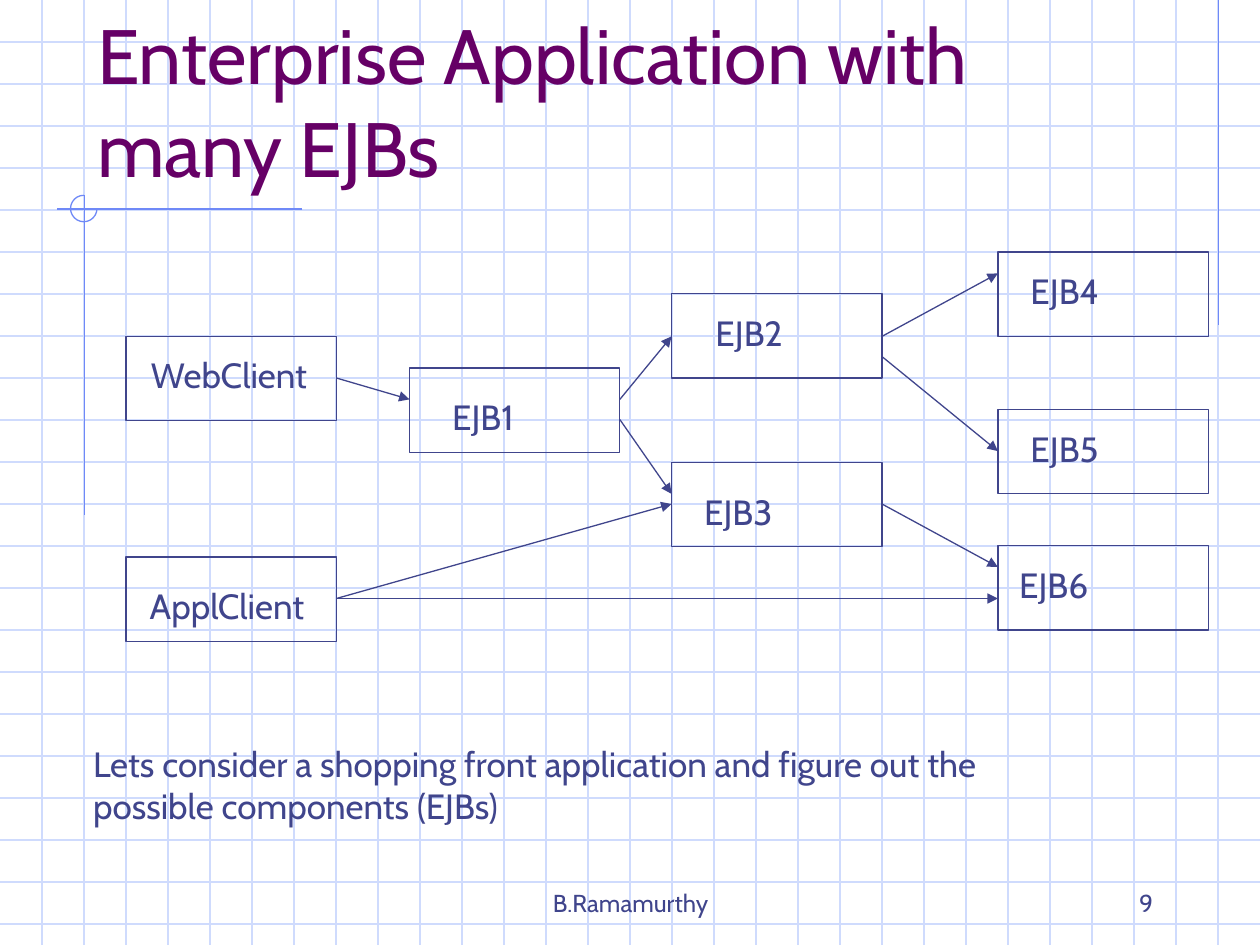
"""Build the slide on an enterprise application with many EJBs."""
import pptx
import pptx.dml.color
import pptx.enum.shapes
import pptx.enum.text
import pptx.oxml
import pptx.oxml.ns
import pptx.util
from pptx.util import Inches

FONT = "Cabin"
INK, PLUM, GRID, ACCENT = "40458C", "660066", "CFDBFD", "6F89F7"
WIDTH, HEIGHT, GRID_STEP = 10, 7.5, 1 / 3
NODE_WIDTH, NODE_HEIGHT = 1.67, 0.67
ALIGN = pptx.enum.text.PP_ALIGN
ANCHOR = pptx.enum.text.MSO_ANCHOR
SHAPES = pptx.enum.shapes.MSO_SHAPE

# label, node left, node top, label left, label top, label width
NODES = [
    ("WebClient", 1, 2.67, 1.1, 2.76, 1.53),
    ("ApplClient", 1, 4.42, 1.09, 4.59, 1.54),
    ("EJB1", 3.25, 2.92, 3.49, 3.09, 0.77),
    ("EJB2", 5.33, 2.33, 5.58, 2.42, 0.77),
    ("EJB3", 5.33, 3.67, 5.49, 3.84, 0.77),
    ("EJB4", 7.92, 2, 8.08, 2.09, 0.77),
    ("EJB5", 7.92, 3.25, 8.08, 3.34, 0.77),
    ("EJB6", 7.92, 4.33, 7.99, 4.42, 0.77),
]
CALLS = [
    (2.67, 3, 3.25, 3.17),
    (2.67, 4.75, 5.33, 4),
    (2.67, 4.75, 7.92, 4.75),
    (4.92, 3.17, 5.33, 2.67),
    (4.92, 3.33, 5.33, 3.92),
    (7, 2.67, 7.92, 2.17),
    (7, 2.83, 7.92, 3.58),
    (7, 4, 7.92, 4.5),
]
ACCENT_LINES = [(9.67, 0, 9.67, 2.58), (2.4, 1.66, 0.45, 1.66), (0.67, 1.55, 0.67, 4.09)]


def rgb(hex_color):
    """Return the colour for a hex string."""
    return pptx.dml.color.RGBColor.from_string(hex_color)


def style_line(line, color):
    """Give a line its colour and the common width."""
    line.color.rgb = rgb(color)
    line.width = pptx.util.Pt(0.75)


def add_line(slide, start_x, start_y, end_x, end_y, color, arrow=False):
    """Draw a straight line, with an arrowhead at its end if asked."""
    connector = slide.shapes.add_connector(
        pptx.enum.shapes.MSO_CONNECTOR.STRAIGHT,
        Inches(start_x), Inches(start_y), Inches(end_x), Inches(end_y))
    style_line(connector.line, color)
    properties = connector.element.spPr
    if arrow:
        head = pptx.oxml.parse_xml(
            f'<a:tailEnd {pptx.oxml.ns.nsdecls("a")} type="triangle"/>')
        connector.line._get_or_add_ln().append(head)
    properties.append(pptx.oxml.parse_xml(
        f'<a:effectLst {pptx.oxml.ns.nsdecls("a")}/>'))


def add_outline(slide, kind, left, top, width, height, color):
    """Draw an unfilled preset shape."""
    outline = slide.shapes.add_shape(
        kind, Inches(left), Inches(top), Inches(width), Inches(height))
    outline.shadow.inherit = False
    outline.fill.background()
    style_line(outline.line, color)
    return outline


def write_lines(frame, lines, size, color, align=ALIGN.LEFT):
    """Write one paragraph for each line of text."""
    for index, line in enumerate(lines):
        paragraph = frame.add_paragraph() if index else frame.paragraphs[0]
        paragraph.alignment = align
        run = paragraph.add_run()
        run.text = line
        run.font.name = FONT
        run.font.size = pptx.util.Pt(size)
        run.font.color.rgb = rgb(color)


def add_text(slide, lines, left, top, width, height, size=20,
             align=ALIGN.LEFT, anchor=ANCHOR.TOP, wrap=False):
    """Add a text box."""
    frame = slide.shapes.add_textbox(
        Inches(left), Inches(top), Inches(width), Inches(height)).text_frame
    frame.word_wrap = wrap
    frame.vertical_anchor = anchor
    write_lines(frame, lines, size, INK, align)


def add_background(slide):
    """Draw the squared paper and the blue corner marks."""
    for row in range(1, int(HEIGHT / GRID_STEP) + 1):
        add_line(slide, 0, row * GRID_STEP, WIDTH, row * GRID_STEP, GRID)
    for column in range(1, round(WIDTH / GRID_STEP)):
        add_line(slide, column * GRID_STEP, 0, column * GRID_STEP, HEIGHT, GRID)
    for ends in ACCENT_LINES:
        add_line(slide, *ends, ACCENT)
    ring = add_outline(slide, SHAPES.ARC, 0.56, 1.55, 0.21, 0.21, ACCENT)
    ring.adjustments[0] = 0
    ring.adjustments[1] = 162


def add_title(slide, text):
    """Place the title in front of the squared paper."""
    title = slide.shapes.title
    title.element.getparent().append(title.element)
    title.left, title.top = Inches(0.67), Inches(0.33)
    title.width, title.height = Inches(8.5), Inches(1.25)
    frame = title.text_frame
    frame.auto_size = pptx.enum.text.MSO_AUTO_SIZE.NONE
    frame.word_wrap = True
    frame.vertical_anchor = ANCHOR.BOTTOM
    write_lines(frame, [text], 44, PLUM)


def add_diagram(slide):
    """Draw the clients and beans, their calls and their labels."""
    for _, left, top, *_ in NODES:
        add_outline(slide, SHAPES.RECTANGLE, left, top, NODE_WIDTH, NODE_HEIGHT, INK)
    for ends in CALLS:
        add_line(slide, *ends, INK, arrow=True)
    for label, _, _, left, top, width in NODES:
        add_text(slide, [label], left, top, width, 0.44)


def add_footer(slide):
    """Add the author and the slide number."""
    for text, left, width, align in [("B.Ramamurthy", 3.42, 3.17, ALIGN.CENTER),
                                     ("9", 7.17, 2.08, ALIGN.RIGHT)]:
        add_text(slide, [text], left, 6.83, width, 0.5, 14, align, ANCHOR.BOTTOM, True)


def main():
    """Build and save the slide."""
    presentation = pptx.Presentation()
    presentation.slide_width, presentation.slide_height = Inches(WIDTH), Inches(HEIGHT)
    slide = presentation.slides.add_slide(presentation.slide_layouts[5])
    add_background(slide)
    add_title(slide, "Enterprise Application with many EJBs")
    add_diagram(slide)
    add_text(slide, ["Lets consider a shopping front application and figure out the",
                     "possible components (EJBs)"], 0.64, 5.84, 8.14, 0.77)
    add_footer(slide)
    presentation.save("out.pptx")


if __name__ == "__main__":
    main()
